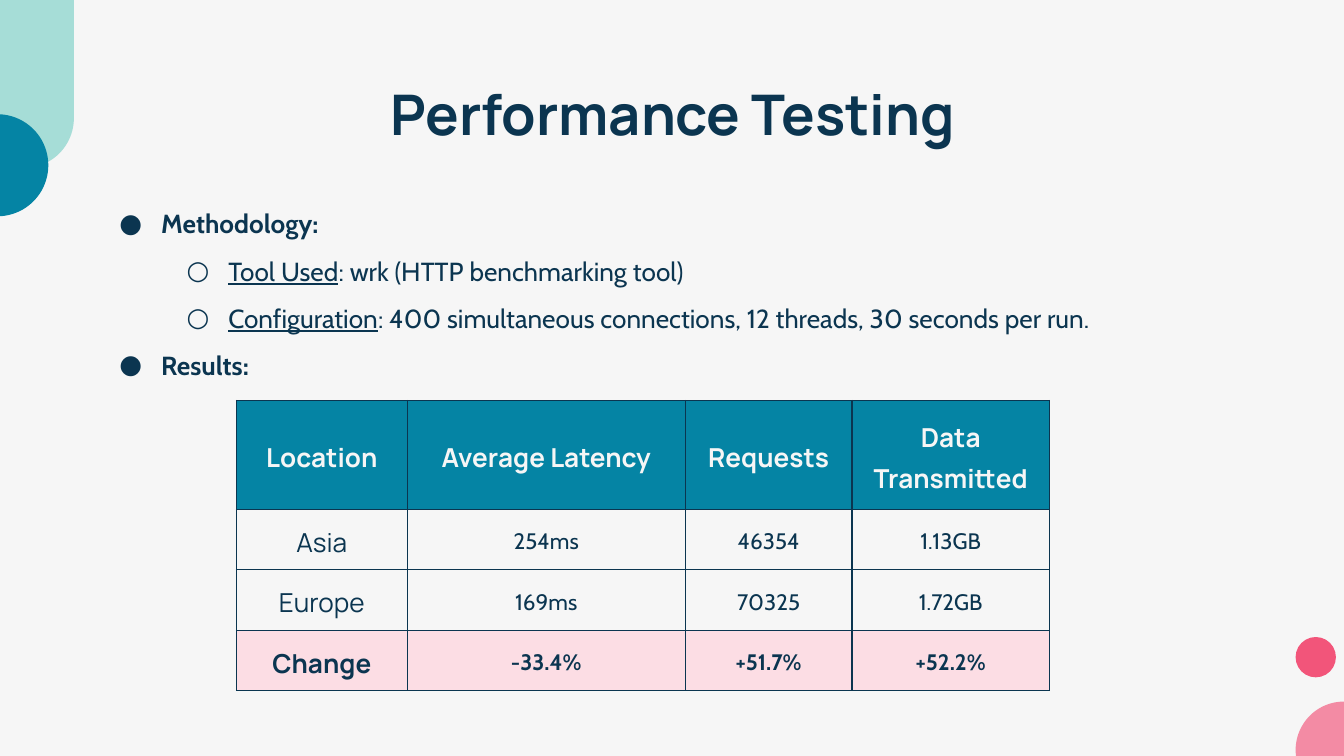
"""Build the performance testing slide with its method notes and results table."""
from dataclasses import dataclass

from lxml import etree
from pptx import Presentation
from pptx.dml.color import RGBColor
from pptx.enum import shapes, text
from pptx.oxml import ns
from pptx.util import Inches, Pt

NAVY = RGBColor(0x0B, 0x35, 0x50)
TEAL = RGBColor(0x05, 0x84, 0xA4)
MINT = RGBColor(0x74, 0xCE, 0xC4)
PINK = RGBColor(0xF2, 0x55, 0x7A)
BLUSH = RGBColor(0xFC, 0xDD, 0xE4)
PAPER = RGBColor(0xF6, 0xF6, 0xF6)
HEAD_FONT, BODY_FONT = "Manrope", "Cabin"


@dataclass
class Decoration:
    kind: shapes.MSO_SHAPE
    box: tuple[float, float, float, float]
    color: RGBColor
    opacity: int = 100
    adjustments: tuple[float, ...] = ()


@dataclass
class Bullet:
    label: str
    detail: str = ""


DECORATIONS = [
    Decoration(shapes.MSO_SHAPE.OVAL, (9.64, 4.74, 0.3, 0.3), PINK),
    Decoration(shapes.MSO_SHAPE.ROUNDED_RECTANGLE, (-0.19, -0.75, 0.74, 2), MINT, 61, (0.5,)),
    Decoration(shapes.MSO_SHAPE.CHORD, (-0.4, 0.85, 0.76, 0.76), TEAL, 100, (162, 54)),
    Decoration(shapes.MSO_SHAPE.OVAL, (9.64, 5.22, 0.72, 0.72), PINK, 66),
]
BULLETS = [
    Bullet("Methodology:"),
    Bullet("Tool Used", ": wrk (HTTP benchmarking tool)"),
    Bullet("Configuration", ": 400 simultaneous connections, 12 threads, 30 seconds per run."),
    Bullet("Results:"),
]
RESULTS = [
    ("Location", "Average Latency", "Requests", "Data Transmitted"),
    ("Asia", "254ms", "46354", "1.13GB"),
    ("Europe", "169ms", "70325", "1.72GB"),
    ("Change", "-33.4%", "+51.7%", "+52.2%"),
]
COL_WIDTHS = (1.27, 2.07, 1.24, 1.47)
ROW_HEIGHTS = (0.81, 0.45, 0.45, 0.45)


def add_run(p, content: str, size: float, font: str, color: RGBColor = NAVY,
            bold: bool = False, underline: bool = False) -> None:
    r = p.add_run()
    r.text = content
    r.font.size, r.font.name = Pt(size), font
    r.font.bold, r.font.underline = bold, underline
    r.font.color.rgb = color


def set_insets(tf) -> None:
    tf.margin_left = tf.margin_right = tf.margin_top = tf.margin_bottom = Inches(0.1)
    tf.word_wrap = True


def add_decoration(s, item: Decoration) -> None:
    sp = s.shapes.add_shape(item.kind, *map(Inches, item.box))
    sp.shadow.inherit = False
    for i, value in enumerate(item.adjustments):
        sp.adjustments[i] = value
    sp.fill.solid()
    sp.fill.fore_color.rgb = item.color
    sp.line.fill.background()
    if item.opacity < 100:
        color = sp.fill._xPr.find(".//" + ns.qn("a:srgbClr"))
        etree.SubElement(color, ns.qn("a:alpha"), val=str(item.opacity * 1000))


def add_title(s) -> None:
    sp = s.shapes.title
    sp.left, sp.top, sp.width, sp.height = map(Inches, (0.79, 0.49, 8.43, 0.63))
    tf = sp.text_frame
    set_insets(tf)
    tf.vertical_anchor = text.MSO_ANCHOR.TOP
    p = tf.paragraphs[0]
    p.alignment = text.PP_ALIGN.CENTER
    add_run(p, "Performance Testing", 30, HEAD_FONT, bold=True)


def add_bullets(s, bullets: list[Bullet]) -> None:
    tf = s.shapes.add_textbox(*map(Inches, (0.79, 1.33, 7.98, 3.81))).text_frame
    set_insets(tf)
    for i, bullet in enumerate(bullets):
        p = tf.paragraphs[0] if i == 0 else tf.add_paragraph()
        nested = bool(bullet.detail)
        p.level = int(nested)
        p.alignment = text.PP_ALIGN.JUSTIFY
        p.line_spacing = 1.5
        add_run(p, bullet.label, 14, BODY_FONT, bold=not nested, underline=nested)
        if nested:
            add_run(p, bullet.detail, 14, BODY_FONT)
        pPr = p._p.get_or_add_pPr()
        pPr.set("marL", str(Inches(0.81 if nested else 0.31)))
        pPr.set("indent", str(Inches(-0.31)))
        color = etree.SubElement(pPr, ns.qn("a:buClr"))
        etree.SubElement(color, ns.qn("a:srgbClr"), val=str(NAVY))
        etree.SubElement(pPr, ns.qn("a:buFont"), typeface=BODY_FONT)
        etree.SubElement(pPr, ns.qn("a:buChar"), char="○" if nested else "●")


def add_borders(cell) -> None:
    tcPr = cell._tc.get_or_add_tcPr()
    for i, side in enumerate(("lnL", "lnR", "lnT", "lnB")):
        ln = etree.Element(ns.qn(f"a:{side}"), w=str(Pt(0.75)))
        fill = etree.SubElement(ln, ns.qn("a:solidFill"))
        etree.SubElement(fill, ns.qn("a:srgbClr"), val=str(NAVY))
        tcPr.insert(i, ln)


def fill_cell(cell, content: str, row: int, col: int) -> None:
    header, change = row == 0, row == len(RESULTS) - 1
    cell.vertical_anchor = text.MSO_ANCHOR.MIDDLE
    cell.margin_left = cell.margin_right = Inches(0.1)
    cell.margin_top = cell.margin_bottom = Inches(0.1 if header else 0)
    if header or change:
        cell.fill.solid()
        cell.fill.fore_color.rgb = TEAL if header else BLUSH
    else:
        cell.fill.background()
    p = cell.text_frame.paragraphs[0]
    p.alignment = text.PP_ALIGN.CENTER
    p.line_spacing = 1.15
    size, font = (14, HEAD_FONT) if header or col == 0 else (12, BODY_FONT)
    add_run(p, content, size, font, PAPER if header else NAVY, bold=header or change)
    add_borders(cell)


def add_results(s) -> None:
    box = map(Inches, (1.76, 2.98, sum(COL_WIDTHS), sum(ROW_HEIGHTS)))
    table = s.shapes.add_table(len(RESULTS), len(COL_WIDTHS), *box).table
    table.horz_banding = False
    for column, width in zip(table.columns, COL_WIDTHS):
        column.width = Inches(width)
    for row, height in zip(table.rows, ROW_HEIGHTS):
        row.height = Inches(height)
    for i, values in enumerate(RESULTS):
        for j, value in enumerate(values):
            fill_cell(table.cell(i, j), value, i, j)


def main() -> None:
    prs = Presentation()
    prs.slide_width = Inches(10)
    prs.slide_height = prs.slide_width * 9 // 16
    s = prs.slides.add_slide(prs.slide_layouts[5])
    s.background.fill.solid()
    s.background.fill.fore_color.rgb = PAPER
    for item in DECORATIONS:
        add_decoration(s, item)
    add_title(s)
    add_bullets(s, BULLETS)
    add_results(s)
    prs.save("out.pptx")


if __name__ == "__main__":
    main()
